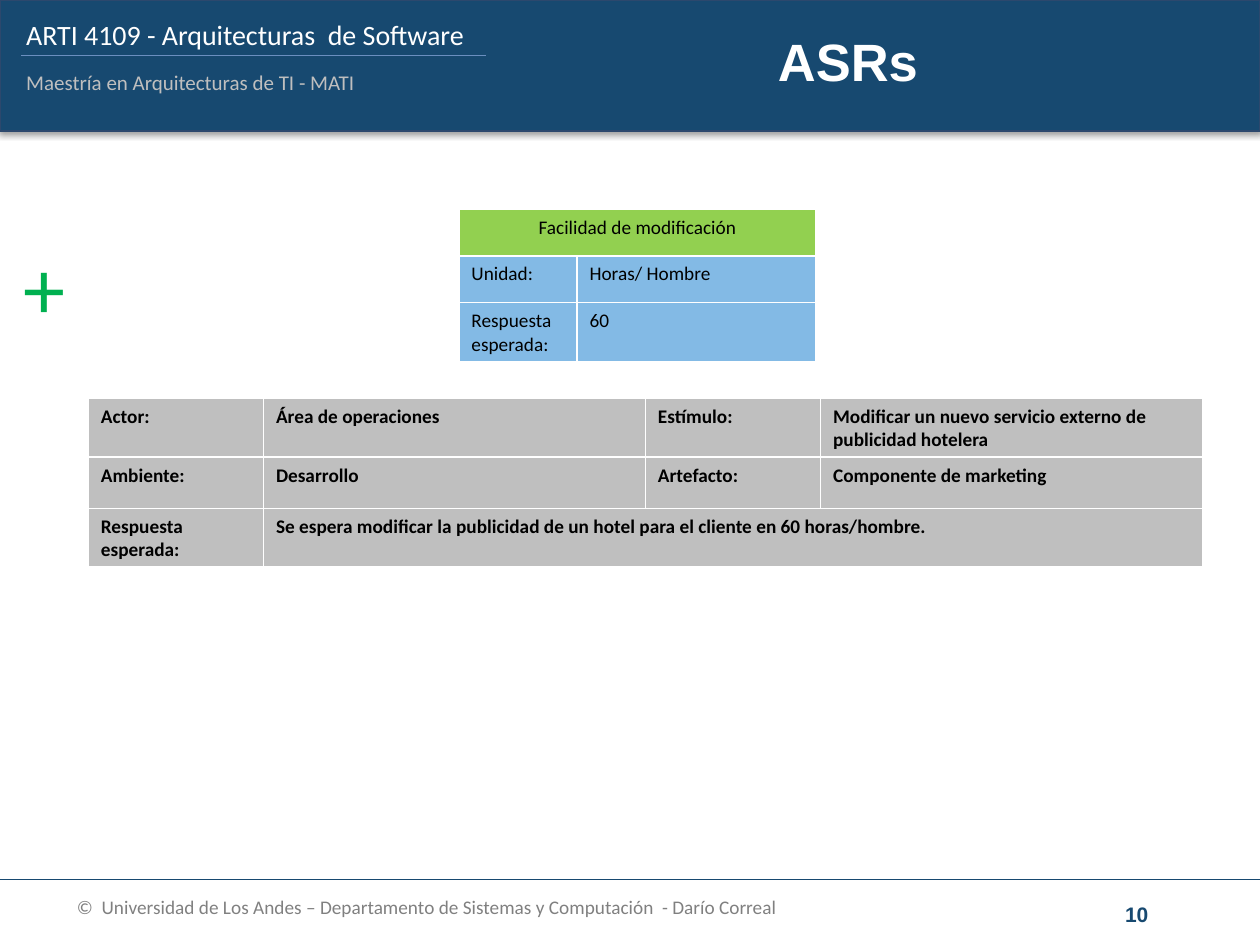
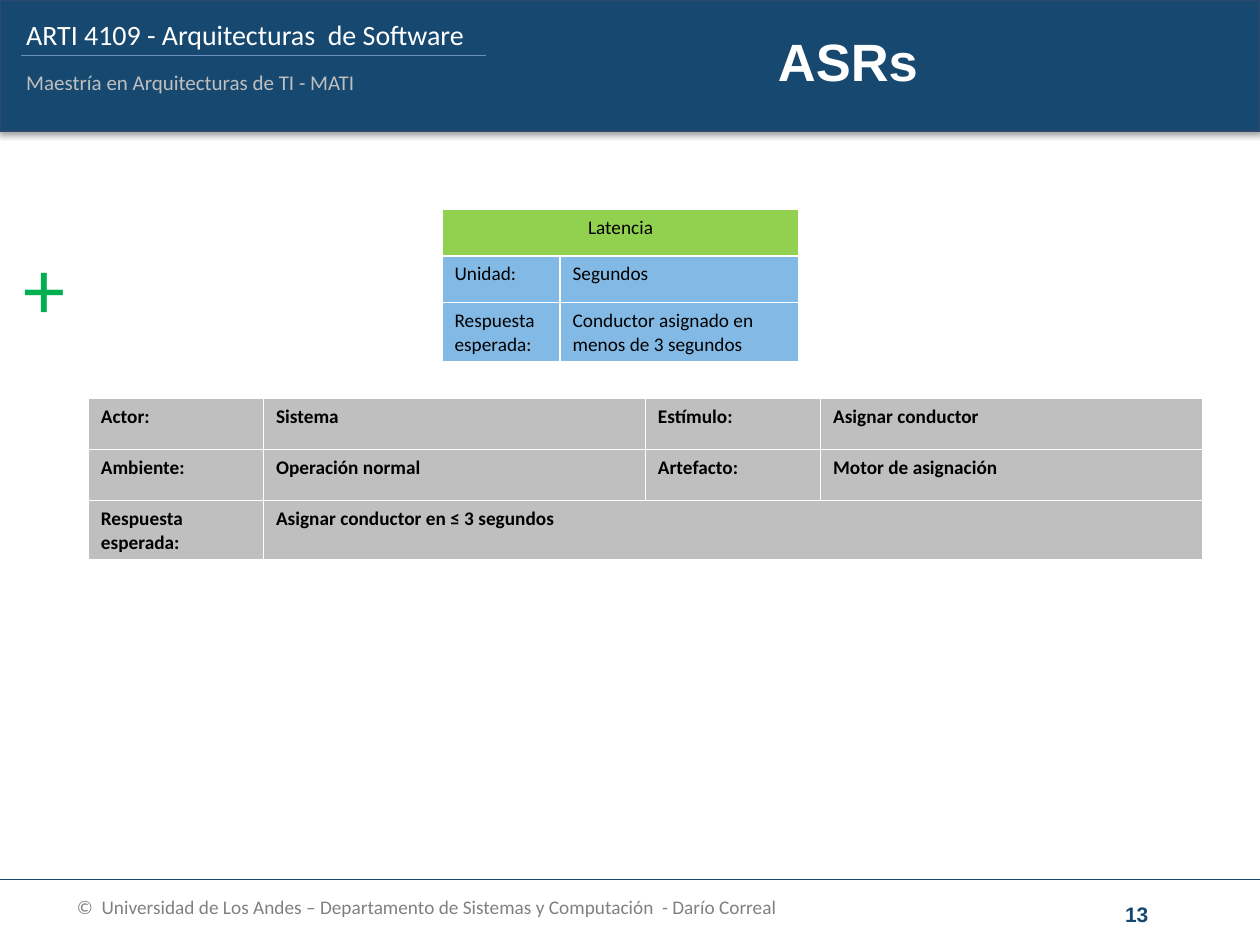
"""Build two slides of architecture requirements, each with a measure and a scenario table."""
from lxml.etree import SubElement
from pptx import Presentation
from pptx.dml.color import RGBColor
from pptx.enum.shapes import MSO_CONNECTOR, MSO_SHAPE
from pptx.enum.text import MSO_ANCHOR, PP_ALIGN
from pptx.oxml import parse_xml
from pptx.oxml.ns import nsdecls, qn
from pptx.util import Cm, Pt

NAVY = RGBColor(0x17, 0x49, 0x70)
EDGE = RGBColor(0x2C, 0x48, 0x6D)
RULE = RGBColor(0x6B, 0x8F, 0xC0)
WHITE = RGBColor(0xFF, 0xFF, 0xFF)
BLACK = RGBColor(0x00, 0x00, 0x00)
SILVER = RGBColor(0xBF, 0xBF, 0xBF)
GRAY = RGBColor(0x80, 0x80, 0x80)
GREEN = RGBColor(0x00, 0xB0, 0x50)
LIME = RGBColor(0x92, 0xD0, 0x50)
SKY = RGBColor(0x83, 0xBA, 0xE5)

WIDE, HIGH = 25.4, 19.05
BAND = 2.64
SHADOW = (
    f'<a:effectLst {nsdecls("a")}>'
    '<a:outerShdw blurRad="39370" dist="22860" dir="5400000" rotWithShape="0">'
    '<a:srgbClr val="000000"><a:alpha val="35000"/></a:srgbClr>'
    '</a:outerShdw></a:effectLst>'
)


def style(frame, size, color, bold=False, face="Calibri", align=PP_ALIGN.LEFT):
    """Format all the text of a frame."""
    for para in frame.paragraphs:
        para.alignment = align
        for run in para.runs:
            font = run.font
            font.name, font.size, font.bold = face, Pt(size), bold
            font.color.rgb = color


def label(slide, text, box, size, color, wrap=True, **look):
    """Add a text box and return its frame."""
    frame = slide.shapes.add_textbox(*map(Cm, box)).text_frame
    frame.word_wrap = wrap
    frame.text = text
    style(frame, size, color, **look)
    return frame


def line(slide, left, right, top, color, width):
    """Draw a level line without a shadow."""
    link = slide.shapes.add_connector(
        MSO_CONNECTOR.STRAIGHT, Cm(left), Cm(top), Cm(right), Cm(top))
    link.line.color.rgb = color
    link.line.width = Pt(width)
    SubElement(link.element.spPr, qn("a:effectLst"))


def header(slide, title):
    """Draw the top band with the course name and the slide title."""
    band = slide.shapes.add_shape(MSO_SHAPE.RECTANGLE, 0, 0, Cm(WIDE), Cm(BAND))
    band.fill.solid()
    band.fill.fore_color.rgb = NAVY
    band.line.color.rgb = EDGE
    band.line.width = Pt(0.75)
    band.element.spPr.append(parse_xml(SHADOW))
    label(slide, "ARTI 4109 - Arquitecturas  de Software",
          (0.28, 0.23, 11.76, 0.94), 16, WHITE)
    label(slide, "Maestría en Arquitecturas de TI - MATI",
          (0.28, 1.27, 7.24, 0.76), 12, SILVER, wrap=False)
    line(slide, 0.43, 9.8, 1.12, RULE, 1)

    head = slide.shapes.title
    slide.shapes.element.append(head.element)
    head.left, head.top, head.width, head.height = map(Cm, (12.5, 0.53, 9.19, 1.4))
    head.text_frame.text = title
    head.text_frame.vertical_anchor = MSO_ANCHOR.MIDDLE
    style(head.text_frame, 30, WHITE, bold=True, face="Arial", align=PP_ALIGN.CENTER)


def footer(slide, number):
    """Draw the bottom line, the credit and the slide number."""
    line(slide, 0, WIDE, 17.73, NAVY, 0.75)
    label(slide, "©  Universidad de Los Andes – Departamento de Sistemas y Computación"
          "  - Darío Correal", (1.3, 17.93, 19.2, 1.02), 11, GRAY)
    frame = label(slide, str(number), (21.11, 17.91, 3.61, 1.02), 12, NAVY,
                  bold=True, face="Arial", align=PP_ALIGN.CENTER)
    frame.vertical_anchor = MSO_ANCHOR.MIDDLE


def grid(slide, left, top, widths, height, rows, fill, bold=False, crown=None):
    """Add a table where the last cell of a short row spans the rest."""
    count = len(widths)
    table = slide.shapes.add_table(
        len(rows), count, Cm(left), Cm(top),
        Cm(sum(widths)), Cm(height * len(rows))).table
    for col, width in zip(table.columns, widths):
        col.width = Cm(width)
    for r, row in enumerate(rows):
        table.rows[r].height = Cm(height)
        topped = crown is not None and r == 0
        for c in range(count):
            cell = table.cell(r, c)
            cell.fill.solid()
            cell.fill.fore_color.rgb = crown if topped else fill
        for c, text in enumerate(row):
            cell = table.cell(r, c)
            cell.text_frame.text = text
            style(cell.text_frame, 11, BLACK, bold=bold,
                  align=PP_ALIGN.CENTER if topped else PP_ALIGN.LEFT)
        if len(row) < count:
            table.cell(r, len(row) - 1).merge(table.cell(r, count - 1))


def measure(slide, left, name, unit, goal):
    """Add the table of the quality measure."""
    rows = [(name,), ("Unidad:", unit), ("Respuesta esperada:", goal)]
    grid(slide, left, 4.22, (2.38, 4.82), 0.94, rows, SKY, crown=LIME)


def scene(slide, actor, cause, state, part, reply):
    """Add the table of the quality scenario."""
    rows = [("Actor:", actor, "Estímulo:", cause),
            ("Ambiente:", state, "Artefacto:", part),
            ("Respuesta esperada:", reply)]
    grid(slide, 1.78, 8.03, (3.53, 7.7) * 2, 1.03, rows, SILVER, bold=True)


def sheet(deck, number, left, gauge, story):
    """Add one slide with its measure and scenario."""
    slide = deck.slides.add_slide(deck.slide_layouts.get_by_name("Title Only"))
    header(slide, "ASRs")
    footer(slide, number)
    scene(slide, *story)
    measure(slide, left, *gauge)
    label(slide, "+", (0.23, 4.62, 1.37, 2.31), 48, GREEN, wrap=False)


def main():
    """Build and save the deck."""
    deck = Presentation()
    deck.slide_width, deck.slide_height = Cm(WIDE), Cm(HIGH)
    sheet(deck, 10, 9.25,
          ("Facilidad de modificación", "Horas/ Hombre", "60"),
          ("Área de operaciones",
           "Modificar un nuevo servicio externo de publicidad hotelera",
           "Desarrollo", "Componente de marketing",
           "Se espera modificar la publicidad de un hotel para el cliente"
           " en 60 horas/hombre."))
    sheet(deck, 13, 8.91,
          ("Latencia", "Segundos", "Conductor asignado en menos de 3 segundos"),
          ("Sistema", "Asignar conductor", "Operación normal",
           "Motor de asignación", "Asignar conductor en ≤ 3 segundos"))
    deck.save("out.pptx")


if __name__ == "__main__":
    main()
